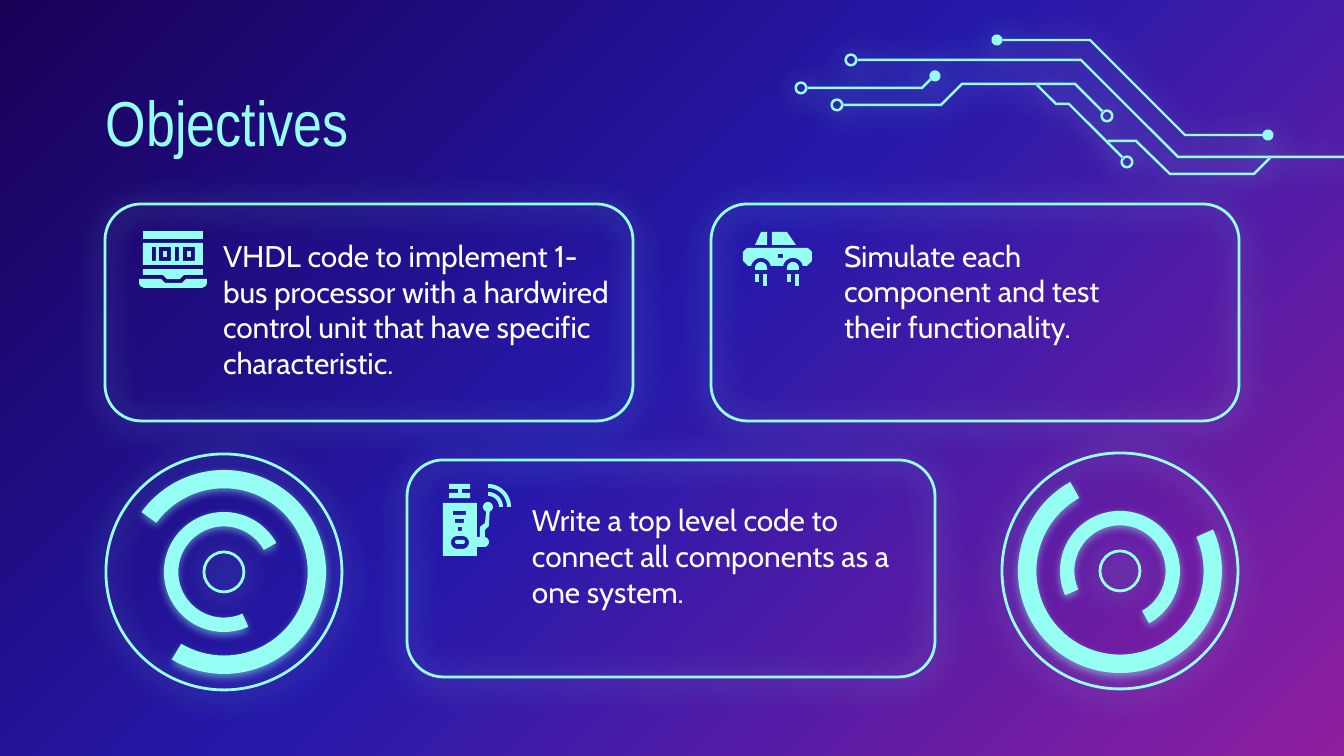
from copy import deepcopy
from math import cos, radians, sin

from lxml import etree
from pptx import Presentation
from pptx.dml.color import RGBColor
from pptx.enum.shapes import MSO_SHAPE
from pptx.enum.text import MSO_ANCHOR, MSO_AUTO_SIZE, PP_ALIGN
from pptx.oxml.ns import qn
from pptx.util import Emu, Pt

MIDDLE = MSO_ANCHOR.MIDDLE
LEFT = PP_ALIGN.LEFT
NO_AUTOFIT = MSO_AUTO_SIZE.NONE
ROUNDED = MSO_SHAPE.ROUNDED_RECTANGLE
OVAL = MSO_SHAPE.OVAL
BLOCK_ARC = MSO_SHAPE.BLOCK_ARC

CYAN = RGBColor(0x96, 0xFF, 0xF3)
WHITE = RGBColor(0xFF, 0xFF, 0xFF)
NAVY = RGBColor(0x19, 0x00, 0x57)
BLUE = RGBColor(0x26, 0x19, 0xAA)
PURPLE = RGBColor(0x8F, 0x1E, 0xA0)

EMU_PER_PX = 914400 / 134.4
TRACE_HALF_WIDTH = 1.2
WIDE_GLOW = (67, 15.8)
TIGHT_GLOW = (50, 4.5)

CARD_SIZE = (528, 217)
CARDS = [
    ((105, 204), (210, 239, 423, 140),
     "VHDL code to implement 1-bus processor with a hardwired control unit "
     "that have specific characteristic."),
    ((711, 204), (831, 238, 344, 106),
     "Simulate each component and test their functionality."),
    ((407, 460), (519, 478, 410, 155),
     "Write a top level code to connect all components as a one system."),
]

CIRCUITS = [
    {"traces": [[(807, 88), (922, 88), (931, 79)]],
     "rings": [(801, 88)], "dots": [(935, 76)]},
    {"traces": [[(1002, 40), (1090, 40), (1185, 135), (1263, 135)]],
     "rings": [], "dots": [(997, 40), (1268, 135)]},
    {"traces": [[(857, 60), (1081, 60), (1178, 157), (1344, 157)],
                [(843, 105), (941, 105), (962, 84), (1075, 84), (1103, 112)],
                [(1037, 85), (1056, 104), (1069, 104), (1123, 158)],
                [(1108, 141), (1136, 141), (1170, 174), (1254, 174), (1270, 158)]],
     "rings": [(851, 60), (837, 105), (1107, 116), (1127, 162)], "dots": []},
]


def px(value):
    return Emu(round(value * EMU_PER_PX))


def place(shape, box):
    shape.left, shape.top, shape.width, shape.height = map(px, box)


def rectangle(left, top, right, bottom):
    return [(left, top), (right, top), (right, bottom), (left, bottom)]


def arc(x, y, radius, start, end, steps=16):
    angles = [radians(start + (end - start) * i / steps) for i in range(steps + 1)]
    return [(x + radius * cos(a), y + radius * sin(a)) for a in angles]


def circle(x, y, radius):
    return arc(x, y, radius, 0, 360, 24)


def capsule(left, top, right, bottom):
    radius = (bottom - top) / 2
    y = top + radius
    return arc(left + radius, y, radius, 90, 270) + arc(right - radius, y, radius, -90, 90)


def trace_outline(points):
    route = [complex(*point) for point in points]
    normals = [(b - a) / abs(b - a) * 1j for a, b in zip(route, route[1:])]
    offsets = []
    for before, after in zip(normals[:1] + normals, normals + normals[-1:]):
        miter = (before + after) / (1 + (before * after.conjugate()).real)
        offsets.append(miter * TRACE_HALF_WIDTH)
    upper = [p + offset for p, offset in zip(route, offsets)]
    lower = [p - offset for p, offset in zip(route, offsets)]
    return [(p.real, p.imag) for p in upper + lower[::-1]]


def add_glow(shape, glow):
    opacity, blur = glow
    effects = etree.SubElement(shape.element.spPr, qn("a:effectLst"))
    shadow = etree.SubElement(effects, qn("a:outerShdw"), blurRad=str(Pt(blur)),
                              dist=str(Pt(1.5)), dir="5400000",
                              algn="bl", rotWithShape="0")
    color = etree.SubElement(shadow, qn("a:srgbClr"), val=str(CYAN))
    etree.SubElement(color, qn("a:alpha"), val=str(opacity * 1000))


def fill_cyan(shape, glow=None):
    shape.fill.solid()
    shape.fill.fore_color.rgb = CYAN
    shape.line.fill.background()
    if glow:
        add_glow(shape, glow)
    else:
        shape.shadow.inherit = False


def add_preset(slide, kind, box):
    return slide.shapes.add_shape(kind, *map(px, box))


def add_outlined(slide, kind, box):
    shape = add_preset(slide, kind, box)
    shape.fill.background()
    shape.line.color.rgb = CYAN
    shape.line.width = Pt(1.5)
    add_glow(shape, WIDE_GLOW)


def add_freeform(slide, contours, glow=None):
    scaled = [[(px(x), px(y)) for x, y in contour] for contour in contours]
    builder = slide.shapes.build_freeform(*scaled[0][0])
    for index, contour in enumerate(scaled):
        if index:
            builder.move_to(*contour[0])
        builder.add_line_segments(contour[1:], close=True)
    fill_cyan(builder.convert_to_shape(), glow)


def add_circuit(slide, circuit):
    contours = [trace_outline(trace) for trace in circuit["traces"]]
    contours += [circle(*ring, radius) for ring in circuit["rings"] for radius in (6.5, 4)]
    contours += [circle(*dot, 5.5) for dot in circuit["dots"]]
    add_freeform(slide, contours, WIDE_GLOW)


def add_dial(slide, x, y, outer_rotation, inner_rotation):
    def centered(size):
        return (x - size / 2, y - size / 2, size, size)

    for size in (236, 40):
        add_outlined(slide, OVAL, centered(size))
    bands = [(204, outer_rotation, (75.58, 18.5, 0.09)),
             (120, inner_rotation, (75.58, 18.62, 0.12))]
    for size, rotation, adjustments in bands:
        band = add_preset(slide, BLOCK_ARC, centered(size))
        band.rotation = rotation
        for index, value in enumerate(adjustments):
            band.adjustments[index] = value
        fill_cyan(band, TIGHT_GLOW)


def display_icon():
    digits = [rectangle(left, 247, right, 261)
              for left, right in ((152, 156), (159, 171), (175, 179), (183, 195))]
    return [
        [rectangle(143, 231, 203, 239)],
        [rectangle(143, 243, 203, 265)] + digits,
        [rectangle(163, 251, 167, 257)],
        [rectangle(187, 251, 191, 257)],
        [[(143, 269), (143, 275), (163, 275), (167, 279), (180, 279),
          (184, 275), (203, 275), (203, 269)]],
        [[(139, 279), (139, 283), (140, 286), (144, 288), (202, 288), (206, 286),
          (207, 283), (207, 279), (186, 279), (182, 283), (165, 283), (161, 279)]],
    ]


def car_icon():
    body = ([(747, 248), (743, 252), (743, 261), (748, 266), (751, 266)]
            + arc(761, 268, 10, 192, 348) + arc(793, 268, 10, 192, 348)
            + [(807, 266), (812, 261), (812, 252), (808, 248)])
    pieces = [[[(761, 232), (755, 245), (767, 245), (767, 232)]],
              [[(772, 232), (772, 245), (796, 245), (787, 232)]],
              [body, rectangle(778, 254, 783, 258)]]
    for x in (761, 793):
        pieces += [[arc(x, 268, 6, 180, 360) + [(x + 6, 270), (x - 6, 270)]],
                   [rectangle(x - 6, 274, x - 2, 282)],
                   [rectangle(x + 2, 274, x + 6, 286)]]
    return pieces


def machine_icon():
    body = ([(443, 503), (443, 556), (477, 556), (477, 547)]
            + arc(484, 542, 5, 90, -80)
            + [(485, 530), (489, 526)] + arc(488, 507, 5, 70, -250)
            + [(485, 523), (480, 527), (480, 537), (477, 537), (477, 503)])
    waves = [[arc(488, 507, radius, 270, 360) + arc(488, 507, radius - 4, 360, 270)]
             for radius in (15, 23)]
    return waves + [
        [[(449, 484), (449, 489), (458, 489), (458, 493), (449, 493), (449, 498),
          (470, 498), (470, 493), (462, 493), (462, 489), (470, 489), (470, 484)]],
        [capsule(455, 540, 465, 544)],
        [body, rectangle(453, 511, 466, 515), rectangle(455, 519, 464, 523),
         rectangle(458, 527, 462, 531), capsule(451, 536, 469, 549)],
    ]


def set_text(placeholder, box, text, font, size, color, inset):
    place(placeholder, box)
    frame = placeholder.text_frame
    frame.text = text
    frame.word_wrap = True
    frame.auto_size = NO_AUTOFIT
    frame.vertical_anchor = MIDDLE
    frame.margin_left = frame.margin_right = px(inset)
    frame.margin_top = frame.margin_bottom = px(inset)
    paragraph = frame.paragraphs[0]
    paragraph.alignment = LEFT
    paragraph.space_before = Pt(0)
    properties = paragraph._p.get_or_add_pPr()
    properties.set("marL", "0")
    properties.set("indent", "0")
    etree.SubElement(properties, qn("a:buNone"))
    run_font = paragraph.runs[0].font
    run_font.name, run_font.size, run_font.bold = font, Pt(size), False
    run_font.color.rgb = color


def set_background(slide):
    fill = slide.background.fill
    fill.gradient()
    fill.gradient_angle = 315
    stops = slide.element.find(".//" + qn("a:gsLst"))
    stops.insert(1, deepcopy(stops[0]))
    for stop, color, position in zip(fill.gradient_stops, (NAVY, BLUE, PURPLE), (0, 0.48, 1)):
        stop.color.rgb = color
        stop.position = position


def main():
    presentation = Presentation()
    presentation.slide_width, presentation.slide_height = px(1344), px(756)
    slide = presentation.slides.add_slide(presentation.slide_layouts[4])
    set_background(slide)
    title, *bodies, spare = list(slide.placeholders)
    spare.element.getparent().remove(spare.element)
    set_text(title, (106, 79, 1133, 85), "Objectives", "Arial Narrow", 34, CYAN, 0)
    for body, (corner, text_box, text) in zip(bodies, CARDS):
        add_outlined(slide, ROUNDED, corner + CARD_SIZE)
        set_text(body, text_box, text, "Cabin", 16, WHITE, 13)
    for circuit in CIRCUITS:
        add_circuit(slide, circuit)
    for piece in display_icon() + car_icon() + machine_icon():
        add_freeform(slide, piece)
    add_dial(slide, 224, 572, 90, 300)
    add_dial(slide, 1120, 571, 210, 30)
    presentation.save("out.pptx")


if __name__ == "__main__":
    main()
